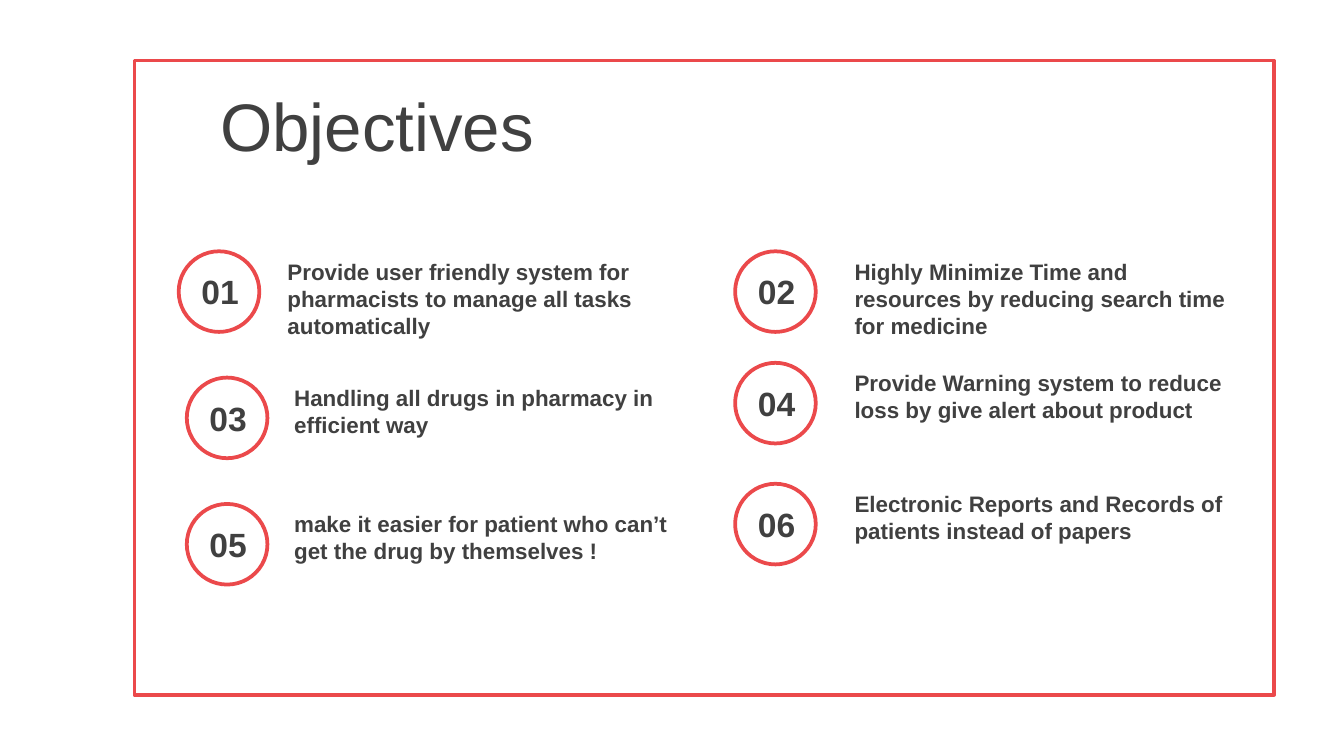
from pptx import Presentation
from pptx.dml.color import RGBColor
from pptx.enum.shapes import MSO_SHAPE as SHAPE
from pptx.enum.text import MSO_ANCHOR as ANCHOR, MSO_AUTO_SIZE as AUTO
from pptx.util import Inches, Pt

RED, WHITE, GREY = "EB494B", "FFFFFF", "404040"
# Left and top of each circle, distance to its text, and the wording
OBJECTIVES = [
    (1.33, 1.87, 0.71, "Provide user friendly system for pharmacists to manage all tasks automatically "),
    (5.47, 1.87, 0.79, "Highly Minimize Time and resources by reducing search time for medicine "),
    (1.39, 2.81, 0.7, "Handling all drugs in pharmacy in efficient way"),
    (5.47, 2.7, 0.79, "Provide Warning system to reduce loss by give alert about product"),
    (1.39, 3.75, 0.7, "make it easier for patient who can’t get the drug by themselves !"),
    (5.47, 3.6, 0.79, "Electronic Reports and Records of patients instead of papers "),
]


def color(value):
    """Turn a hex string into a colour."""
    return RGBColor.from_string(value)


def add_outline(slide, kind, box, fill=None):
    """Add a red outlined shape, hollow unless a fill is given."""
    sp = slide.shapes.add_shape(kind, *map(Inches, box))
    sp.shadow.inherit = False
    sp.line.color.rgb = color(RED)
    sp.line.width = Pt(2)
    if fill:
        sp.fill.solid()
        sp.fill.fore_color.rgb = color(fill)
    else:
        sp.fill.background()


def add_text(slide, box, text, size, bold=True, **frame):
    """Add grey text in a box; frame holds text frame settings."""
    tf = slide.shapes.add_textbox(*map(Inches, box)).text_frame
    for name, value in {"word_wrap": True, **frame}.items():
        setattr(tf, name, value)
    r = tf.paragraphs[0].add_run()
    r.text = text
    for name, value in {"name": "Arial", "size": Pt(size), "bold": bold}.items():
        setattr(r.font, name, value)
    r.font.color.rgb = color(GREY)


def add_frame(slide, left, top, width, height):
    """Add the border with the title inside its top edge."""
    add_outline(slide, SHAPE.RECTANGLE, (left, top, width, height))
    add_text(slide, (left + 0.54, top + 0.16, 7.8, 0.63), "Objectives", 36,
             bold=False, vertical_anchor=ANCHOR.MIDDLE)


def add_objective(slide, left, top, text_gap, number, text):
    """Add a numbered circle with its objective to the right."""
    add_outline(slide, SHAPE.OVAL, (left, top, 0.6, 0.6), WHITE)
    add_text(slide, (left + 0.07, top + 0.1, 0.48, 0.4), f"{number:02}", 18,
             word_wrap=False, auto_size=AUTO.SHAPE_TO_FIT_TEXT)
    height = 0.71 if number <= 2 else 0.5
    add_text(slide, (left + text_gap, top, 3.05, height), text, 12,
             auto_size=AUTO.SHAPE_TO_FIT_TEXT)


def build():
    """Build the 16:9 slide and save it."""
    prs = Presentation()
    prs.slide_width, prs.slide_height = Inches(10), Inches(10 * 9 / 16)
    slide = prs.slides.add_slide(prs.slide_layouts[6])
    add_frame(slide, 1, 0.45, 8.48, 4.72)
    for number, (left, top, text_gap, text) in enumerate(OBJECTIVES, 1):
        add_objective(slide, left, top, text_gap, number, text)
    prs.save("out.pptx")


build()
